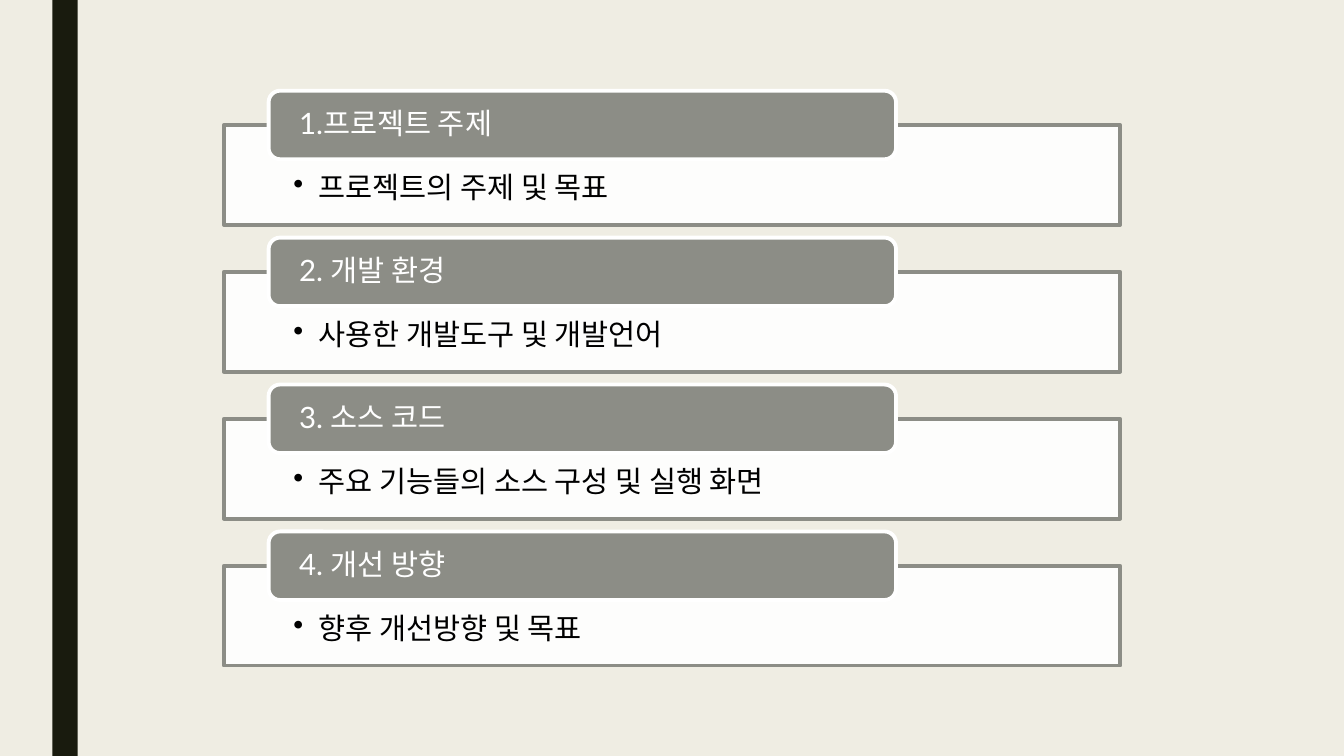
from pptx import Presentation
from pptx.dml.color import RGBColor
from pptx.enum import shapes, text
from pptx.oxml.ns import qn
from pptx.util import Inches, Pt
from lxml import etree

COLORS = {
    "background": "EFEDE3",
    "stripe": "191B0E",
    "gray": "8C8D86",
    "white": "FFFFFF",
    "black": "000000",
}
FONT = "Lato"
SECTIONS = [
    ("1.프로젝트 주제", "프로젝트의 주제 및 목표"),
    ("2. 개발 환경", "사용한 개발도구 및 개발언어"),
    ("3. 소스 코드", "주요 기능들의 소스 구성 및 실행 화면"),
    ("4. 개선 방향", "향후 개선방향 및 목표"),
]


def rgb(name):
    return RGBColor.from_string(COLORS[name])


def add_box(s, kind, box, fill, line=None):
    sp = s.shapes.add_shape(kind, *(Inches(v) for v in box))
    sp.shadow.inherit = False
    sp.fill.solid()
    sp.fill.fore_color.rgb = rgb(fill)
    if line:
        sp.line.color.rgb = rgb(line)
        sp.line.width = Pt(2.75)
    else:
        sp.line.fill.background()
    return sp


def set_opacity(sp, percent):
    color = sp.fill._xPr.find(qn("a:solidFill"))[0]
    etree.SubElement(color, qn("a:alpha")).set("val", str(percent * 1000))


def add_bullet(p, indent):
    pPr = p._p.get_or_add_pPr()
    pPr.set("marL", str(Inches(indent)))
    pPr.set("indent", str(-Inches(indent)))
    etree.SubElement(pPr, qn("a:buChar")).set("char", "•")


def set_text(sp, words, color, insets, anchor, bullet=False):
    """Write one left-aligned line; insets are left, top, right, bottom."""
    tf = sp.text_frame
    tf.word_wrap = True
    tf.vertical_anchor = anchor
    (tf.margin_left, tf.margin_top,
     tf.margin_right, tf.margin_bottom) = (Inches(v) for v in insets)
    p = tf.paragraphs[0]
    p.text = words
    p.alignment = text.PP_ALIGN.LEFT
    p.line_spacing = 0.9
    if bullet:
        add_bullet(p, 0.25)
    font = p.runs[0].font
    font.name = FONT
    font.size = Pt(21)
    font.color.rgb = rgb(color)


def add_section(s, left, top, width, heading, detail):
    """Draw a detail panel with its heading tab overlapping the top edge."""
    panel = add_box(s, shapes.MSO_SHAPE.RECTANGLE,
                    (left, top + 0.34, width, 0.99), "white", "gray")
    set_opacity(panel, 90)
    set_text(panel, detail, "black", (0.69, 0.48, 0.69, 0.16),
             text.MSO_ANCHOR.TOP, bullet=True)
    tab = add_box(s, shapes.MSO_SHAPE.ROUNDED_RECTANGLE,
                  (left + 0.05 * width, top, 0.7 * width, 0.68), "gray", "white")
    set_text(tab, heading, "white", (0.27, 0, 0.27, 0), text.MSO_ANCHOR.MIDDLE)


def add_agenda(s, left, top, width, height):
    pitch = height / len(SECTIONS)
    for i, (heading, detail) in enumerate(SECTIONS):
        add_section(s, left, top + i * pitch, width, heading, detail)


def add_backdrop(s):
    fill = s.background.fill
    fill.solid()
    fill.fore_color.rgb = rgb("background")
    add_box(s, shapes.MSO_SHAPE.RECTANGLE, (0.52, 0, 0.25, 7.5), "stripe")


def main():
    prs = Presentation()
    prs.slide_width = Inches(13.33)
    prs.slide_height = Inches(7.5)
    s = prs.slides.add_slide(prs.slide_layouts.get_by_name("Blank"))
    add_backdrop(s)
    add_agenda(s, 2.22, 0.9, 8.89, 5.83)
    prs.save("out.pptx")


if __name__ == "__main__":
    main()
